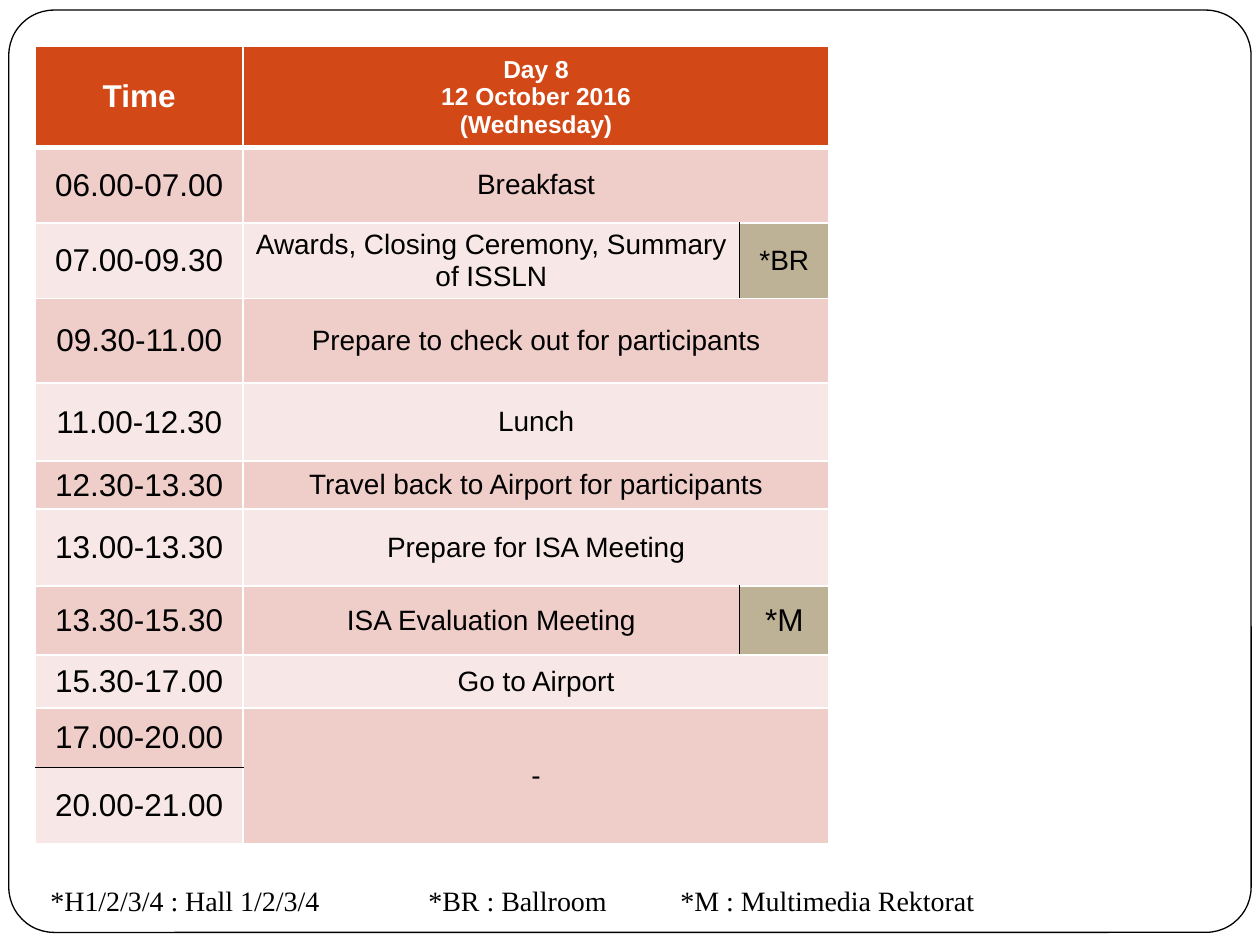
import dataclasses

import pptx
import pptx.dml.color
import pptx.enum.shapes
import pptx.enum.text
import pptx.oxml
import pptx.oxml.ns
import pptx.table
import pptx.text.text
import pptx.util
from pptx.util import Inches

COLORS = {
    "header": "D34817",
    "dark_band": "EFCECA",
    "light_band": "F7E8E7",
    "room": "BDB196",
    "white": "FFFFFF",
    "black": "000000",
}
WHITE_EDGE = ("white", 1)
BLACK_EDGE = ("black", 0.75)
HEADER_EDGE = ("white", 3)
COLUMN_WIDTHS = (1.65, 3.94, 0.71)
HEADER_HEIGHT = 0.8
MARGIN = Inches(0.05)


@dataclasses.dataclass(frozen=True)
class Session:
    time: str
    activity: str
    height: float
    room: str = ""
    room_size: int = 16


SESSIONS = (
    Session("06.00-07.00", "Breakfast", 0.6),
    Session("07.00-09.30", "Awards, Closing Ceremony, Summary of ISSLN", 0.6, "*BR"),
    Session("09.30-11.00", "Prepare to check out for participants", 0.67),
    Session("11.00-12.30", "Lunch", 0.62),
    Session("12.30-13.30", "Travel back to Airport for participants", 0.37),
    Session("13.00-13.30", "Prepare for ISA Meeting", 0.61),
    Session("13.30-15.30", "ISA Evaluation Meeting", 0.55, "*M", 18),
    Session("15.30-17.00", "Go to Airport", 0.42),
    Session("17.00-20.00", "-", 0.47),
    Session("20.00-21.00", "", 0.61),
)


def rgb(name: str) -> pptx.dml.color.RGBColor:
    return pptx.dml.color.RGBColor.from_string(COLORS[name])


def set_margins(target) -> None:
    target.margin_left = target.margin_right = MARGIN
    target.margin_top = target.margin_bottom = MARGIN


def write(paragraph: pptx.text.text._Paragraph, text: str, size: int,
          color: str = "black", font_name: str = "Arial", bold: bool = False) -> None:
    paragraph.text = text
    paragraph.font.name = font_name
    paragraph.font.size = pptx.util.Pt(size)
    paragraph.font.bold = bold
    paragraph.font.color.rgb = rgb(color)


def style_cell(cell: pptx.table._Cell, fill: str, **edges: tuple[str, float]) -> None:
    """Fill a cell and draw its four edges, white unless given."""
    cell.fill.solid()
    cell.fill.fore_color.rgb = rgb(fill)
    cell.vertical_anchor = pptx.enum.text.MSO_ANCHOR.MIDDLE
    set_margins(cell)
    properties = cell._tc.get_or_add_tcPr()
    for index, side in enumerate("LRTB"):
        color, width = edges.get(side, WHITE_EDGE)
        properties.insert(index, pptx.oxml.parse_xml(
            f'<a:ln{side} {pptx.oxml.ns.nsdecls("a")} w="{pptx.util.Pt(width)}">'
            f'<a:solidFill><a:srgbClr val="{COLORS[color]}"/></a:solidFill></a:ln{side}>'))


def write_cell(cell: pptx.table._Cell, text: str, size: int,
               color: str = "black", bold: bool = False) -> None:
    paragraph = cell.text_frame.paragraphs[0]
    paragraph.alignment = pptx.enum.text.PP_ALIGN.CENTER
    write(paragraph, text, size, color, bold=bold)


def add_frame(slide: pptx.slide.Slide) -> None:
    frame = slide.shapes.add_shape(
        pptx.enum.shapes.MSO_SHAPE.ROUNDED_RECTANGLE,
        Inches(0.07), Inches(0.08), Inches(9.86), Inches(7.32))
    frame.adjustments[0] = 0.049
    frame.shadow.inherit = False
    frame.fill.solid()
    frame.fill.fore_color.rgb = rgb("white")
    frame.line.color.rgb = rgb("black")
    frame.line.width = pptx.util.Pt(0.75)


def add_schedule(slide: pptx.slide.Slide) -> None:
    heights = [HEADER_HEIGHT, *(session.height for session in SESSIONS)]
    table = slide.shapes.add_table(
        len(heights), len(COLUMN_WIDTHS), Inches(0.28), Inches(0.37),
        Inches(sum(COLUMN_WIDTHS)), Inches(sum(heights))).table
    table.horz_banding = False
    for column, width in zip(table.columns, COLUMN_WIDTHS):
        column.width = Inches(width)
    for row, height in zip(table.rows, heights):
        row.height = Inches(height)

    # Header row
    for column in range(len(COLUMN_WIDTHS)):
        style_cell(table.cell(0, column), "header", B=HEADER_EDGE)
    write_cell(table.cell(0, 0), "Time", 18, "white", True)
    write_cell(table.cell(0, 1), "Day 8\n12 October 2016\n(Wednesday)", 14, "white", True)
    table.cell(0, 1).merge(table.cell(0, 2))

    # Session rows; the last two share one activity cell
    last = len(SESSIONS)
    for number, session in enumerate(SESSIONS, start=1):
        band = "dark_band" if number % 2 else "light_band"
        time, activity, room = (table.cell(number, column) for column in range(3))
        time_edges = {last - 1: {"B": BLACK_EDGE}, last: {"T": BLACK_EDGE}}
        style_cell(time, band, **time_edges.get(number, {}))
        write_cell(time, session.time, 18)
        has_room = bool(session.room)
        style_cell(activity, band, R=BLACK_EDGE if has_room else WHITE_EDGE)
        style_cell(room, "room" if has_room else band,
                   L=BLACK_EDGE if has_room else WHITE_EDGE)
        if session.activity:
            write_cell(activity, session.activity, 16)
        if has_room:
            write_cell(room, session.room, session.room_size)
        elif number < last - 1:
            activity.merge(room)
    table.cell(last - 1, 1).merge(table.cell(last, 2))


def add_legend(slide: pptx.slide.Slide) -> None:
    legend = slide.shapes.add_textbox(
        Inches(0.35), Inches(6.96), Inches(8.35), Inches(0.35))
    text_frame = legend.text_frame
    text_frame.word_wrap = True
    set_margins(text_frame)
    paragraph = text_frame.paragraphs[0]
    write(paragraph, "*H1/2/3/4 : Hall 1/2/3/4\t*BR : Ballroom\t*M : Multimedia Rektorat",
          16, font_name="Times New Roman")
    # Tab stops come before the default run properties
    stops = "".join(f'<a:tab pos="{Inches(stop)}" algn="l"/>' for stop in (3, 5))
    paragraph._p.get_or_add_pPr().insert(0, pptx.oxml.parse_xml(
        f'<a:tabLst {pptx.oxml.ns.nsdecls("a")}>{stops}</a:tabLst>'))


def main() -> None:
    presentation = pptx.Presentation()
    presentation.slide_width = Inches(10)
    presentation.slide_height = Inches(7.5)
    slide = presentation.slides.add_slide(presentation.slide_layouts[6])
    add_frame(slide)
    add_schedule(slide)
    add_legend(slide)
    presentation.save("out.pptx")


if __name__ == "__main__":
    main()
